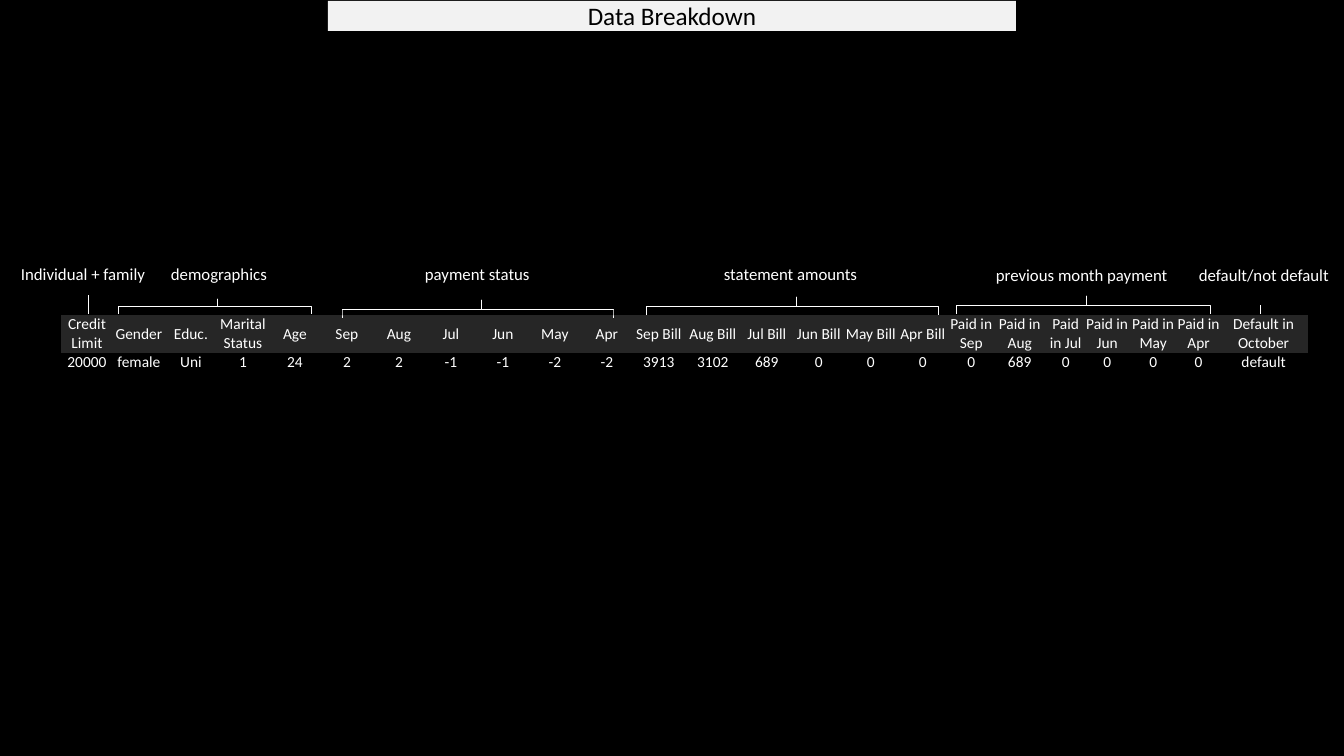
import pptx
import pptx.util
from pptx.dml.color import RGBColor
from pptx.enum.shapes import MSO_CONNECTOR, MSO_SHAPE
from pptx.enum.text import MSO_ANCHOR, MSO_AUTO_SIZE, PP_ALIGN
from pptx.oxml.ns import qn
from pptx.oxml.xmlchemy import OxmlElement

BLACK = RGBColor(0x00, 0x00, 0x00)
WHITE = RGBColor(0xFF, 0xFF, 0xFF)
LIGHT = RGBColor(0xF2, 0xF2, 0xF2)
DARK = RGBColor(0x26, 0x26, 0x26)
NO_TABLE_STYLE = "{2D5ABB26-0587-4C30-8999-92F81FD0307C}"

TITLE = "Data Breakdown"
COLUMNS = [
    ("Credit Limit", "20000", 52), ("Gender", "female", 52), ("Educ.", "Uni", 52),
    ("Marital Status", "1", 52), ("Age", "24", 52),
    ("Sep", "2", 52), ("Aug", "2", 52), ("Jul", "-1", 52),
    ("Jun", "-1", 52), ("May", "-2", 52), ("Apr", "-2", 52),
    ("Sep Bill", "3913", 52), ("Aug Bill", "3102", 56), ("Jul Bill", "689", 52),
    ("Jun Bill", "0", 52), ("May Bill", "0", 52), ("Apr Bill", "0", 52),
    ("Paid in Sep", "0", 45), ("Paid in Aug", "689", 52), ("Paid in Jul", "0", 40),
    ("Paid in Jun", "0", 43), ("Paid in May", "0", 49), ("Paid in Apr", "0", 42),
    ("Default in October", "default", 88),
]
ROW_HEIGHTS = (38, 18)
BRACES = [(342, 300, 271, 18), (646, 297, 292, 18), (956, 296, 254, 18), (118, 299, 193, 15)]
LABELS = [
    ("demographics", 161, 259, 117, False),
    ("payment status", 415, 259, 126, False),
    ("statement amounts", 714, 259, 155, False),
    ("previous month payment", 986, 260, 194, False),
    ("Individual + family", 11, 259, 193, True),
    ("default/not default", 1189, 260, 193, True),
]
TICKS = [(88, 295), (1260, 305)]
TICK_BOTTOM = 314


def px(n):
    return pptx.util.Emu(round(n * 914400 / 100.8))


def write(tf, text, size, color, align=None):
    tf.text = text
    p = tf.paragraphs[0]
    p.alignment = align
    font = p.runs[0].font
    font.name, font.size, font.color.rgb = "Calibri", pptx.util.Pt(size), color
    return p


def thin_white(line):
    line.color.rgb = WHITE
    line.width = pptx.util.Pt(0.5)


prs = pptx.Presentation()
prs.slide_width, prs.slide_height = px(1344), px(756)
s = prs.slides.add_slide(prs.slide_layouts[5])
s.background.fill.solid()
s.background.fill.fore_color.rgb = BLACK

title = s.shapes.title
title.left, title.top, title.width, title.height = px(328), px(1), px(688), px(30)
title.fill.solid()
title.fill.fore_color.rgb = LIGHT
tf = title.text_frame
tf.auto_size = MSO_AUTO_SIZE.NONE
tf.vertical_anchor = MSO_ANCHOR.MIDDLE
tf.margin_top = px(8)
write(tf, TITLE, 18, BLACK, PP_ALIGN.CENTER).line_spacing = 0.9

frame = s.shapes.add_table(len(ROW_HEIGHTS), len(COLUMNS), px(61), px(315),
                           px(sum(width for _, _, width in COLUMNS)), px(sum(ROW_HEIGHTS)))
frame.element.find(".//" + qn("a:tableStyleId")).text = NO_TABLE_STYLE
table = frame.table
table.first_row = table.horz_banding = False
for row, height in zip(table.rows, ROW_HEIGHTS):
    row.height = px(height)
for c, (header, value, width) in enumerate(COLUMNS):
    table.columns[c].width = px(width)
    for r, text in enumerate((header, value)):
        cell = table.cell(r, c)
        cell.margin_left = cell.margin_right = cell.margin_top = cell.margin_bottom = 0
        write(cell.text_frame, text, 11, WHITE, PP_ALIGN.CENTER)
        if r == 0:
            cell.vertical_anchor = MSO_ANCHOR.MIDDLE
            cell.fill.solid()
            cell.fill.fore_color.rgb = DARK
        else:
            cell.vertical_anchor = MSO_ANCHOR.BOTTOM
            cell.fill.background()

for left, top, span, depth in BRACES:
    offset = (span - depth) / 2
    brace = s.shapes.add_shape(MSO_SHAPE.RIGHT_BRACE, px(left + offset), px(top - offset),
                               px(depth), px(span))
    brace.rotation = 270
    brace.adjustments[0], brace.adjustments[1] = 0, 0.514
    brace.fill.background()
    brace.shadow.inherit = False
    thin_white(brace.line)

for text, left, top, width, wrap in LABELS:
    tf = s.shapes.add_textbox(px(left), px(top), px(width), px(30)).text_frame
    tf.word_wrap = wrap
    tf.auto_size = MSO_AUTO_SIZE.SHAPE_TO_FIT_TEXT
    write(tf, text, 12, WHITE)

for x, top in TICKS:
    tick = s.shapes.add_connector(MSO_CONNECTOR.STRAIGHT, px(x), px(TICK_BOTTOM), px(x), px(top))
    thin_white(tick.line)
    tick.element.spPr.append(OxmlElement("a:effectLst"))

prs.save("out.pptx")
